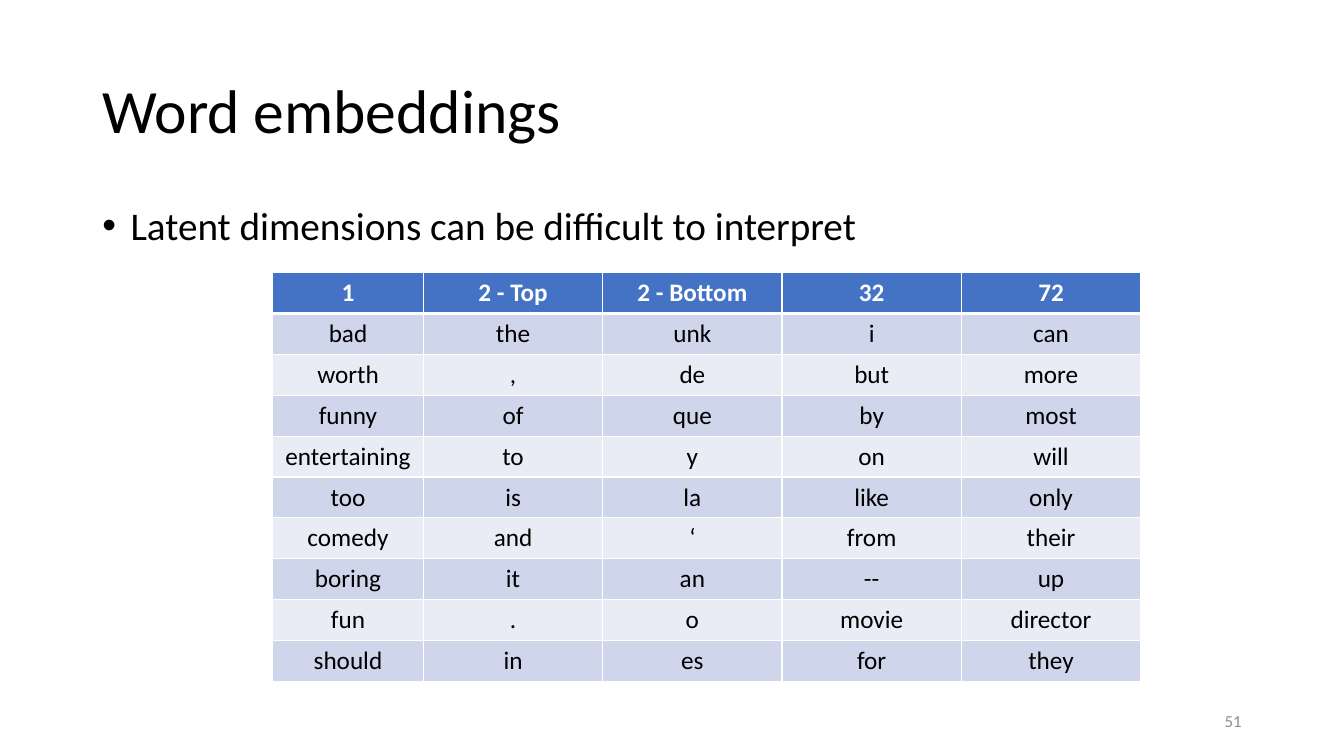
from dataclasses import dataclass

from lxml.etree import SubElement
from pptx import Presentation
from pptx.dml.color import RGBColor
from pptx.enum.text import MSO_ANCHOR, PP_ALIGN
from pptx.oxml.ns import qn
from pptx.util import Cm, Pt

TITLE = "Word embeddings"
BULLET = "Latent dimensions can be difficult to interpret"
NUMBER = "51"
WORDS = [
    ("1", "2 - Top", "2 - Bottom", "32", "72"),
    ("bad", "the", "unk", "i", "can"),
    ("worth", ",", "de", "but", "more"),
    ("funny", "of", "que", "by", "most"),
    ("entertaining", "to", "y", "on", "will"),
    ("too", "is", "la", "like", "only"),
    ("comedy", "and", "‘", "from", "their"),
    ("boring", "it", "an", "--", "up"),
    ("fun", ".", "o", "movie", "director"),
    ("should", "in", "es", "for", "they"),
]


@dataclass(frozen=True)
class Theme:
    font: str = "Calibri"
    text: str = "000000"
    muted: str = "8C8C8C"
    white: str = "FFFFFF"
    header: str = "4472C4"
    bands: tuple = ("E9EBF5", "CFD5EA")
    title_size: int = 44
    body_size: int = 28
    cell_size: int = 18
    number_size: int = 12
    thin: int = 1
    thick: int = 3


T = Theme()
MARGIN, TEXT_W = 2.33, 29.21
NUMBER_W = 7.62
TABLE_X, TABLE_Y = 6.87, 6.87
COL_WIDTHS = [3.8] + [4.52] * 4
ROW_H = 1.03
INDENT = Cm(0.71)


def add_run(p, text, size, color, bold=False):
    r = p.add_run()
    r.text = text
    r.font.name = T.font
    r.font.size = Pt(size)
    r.font.bold = bold
    r.font.color.rgb = RGBColor.from_string(color)


def add_text(s, box, text, size, color, anchor=MSO_ANCHOR.MIDDLE):
    sp = s.shapes.add_textbox(*map(Cm, box))
    tf = sp.text_frame
    tf.word_wrap = True
    tf.vertical_anchor = anchor
    p = tf.paragraphs[0]
    add_run(p, text, size, color)
    return p


def add_bullet(p):
    pPr = p._p.get_or_add_pPr()
    pPr.set("marL", str(INDENT))
    pPr.set("indent", str(-INDENT))
    SubElement(pPr, qn("a:buFont"), typeface="Arial")
    SubElement(pPr, qn("a:buChar"), char="•")


def set_borders(cell, top, bottom):
    tcPr = cell._tc.get_or_add_tcPr()
    for side, width in zip("LRTB", (T.thin, T.thin, top, bottom)):
        ln = SubElement(tcPr, qn(f"a:ln{side}"), w=str(Pt(width)))
        fill = SubElement(ln, qn("a:solidFill"))
        SubElement(fill, qn("a:srgbClr"), val=T.white)


def add_word_table(s):
    size = (sum(COL_WIDTHS), ROW_H * len(WORDS))
    table = s.shapes.add_table(
        len(WORDS), len(COL_WIDTHS), *map(Cm, (TABLE_X, TABLE_Y, *size))
    ).table
    for col, width in zip(table.columns, COL_WIDTHS):
        col.width = Cm(width)
    for i, words in enumerate(WORDS):
        table.rows[i].height = Cm(ROW_H)
        head = i == 0
        fill = T.header if head else T.bands[i % 2]
        top = T.thick if i == 1 else T.thin
        bottom = T.thick if head else T.thin
        for j, word in enumerate(words):
            cell = table.cell(i, j)
            set_borders(cell, top, bottom)
            cell.fill.solid()
            cell.fill.fore_color.rgb = RGBColor.from_string(fill)
            p = cell.text_frame.paragraphs[0]
            p.alignment = PP_ALIGN.CENTER
            add_run(p, word, T.cell_size, T.white if head else T.text, head)


def main():
    prs = Presentation()
    prs.slide_width, prs.slide_height = Cm(33.87), Cm(19.05)
    s = prs.slides.add_slide(prs.slide_layouts[6])

    p = add_text(s, (MARGIN, 1.01, TEXT_W, 3.68), TITLE, T.title_size, T.text)
    p.line_spacing = 0.9

    p = add_text(s, (MARGIN, 5.07, TEXT_W, 12.09), BULLET, T.body_size, T.text,
                 MSO_ANCHOR.TOP)
    p.line_spacing = 0.9
    add_bullet(p)

    number_x = MARGIN + TEXT_W - NUMBER_W
    p = add_text(s, (number_x, 17.66, NUMBER_W, 1.01), NUMBER,
                 T.number_size, T.muted)
    p.alignment = PP_ALIGN.RIGHT

    add_word_table(s)
    prs.save("out.pptx")


if __name__ == "__main__":
    main()
